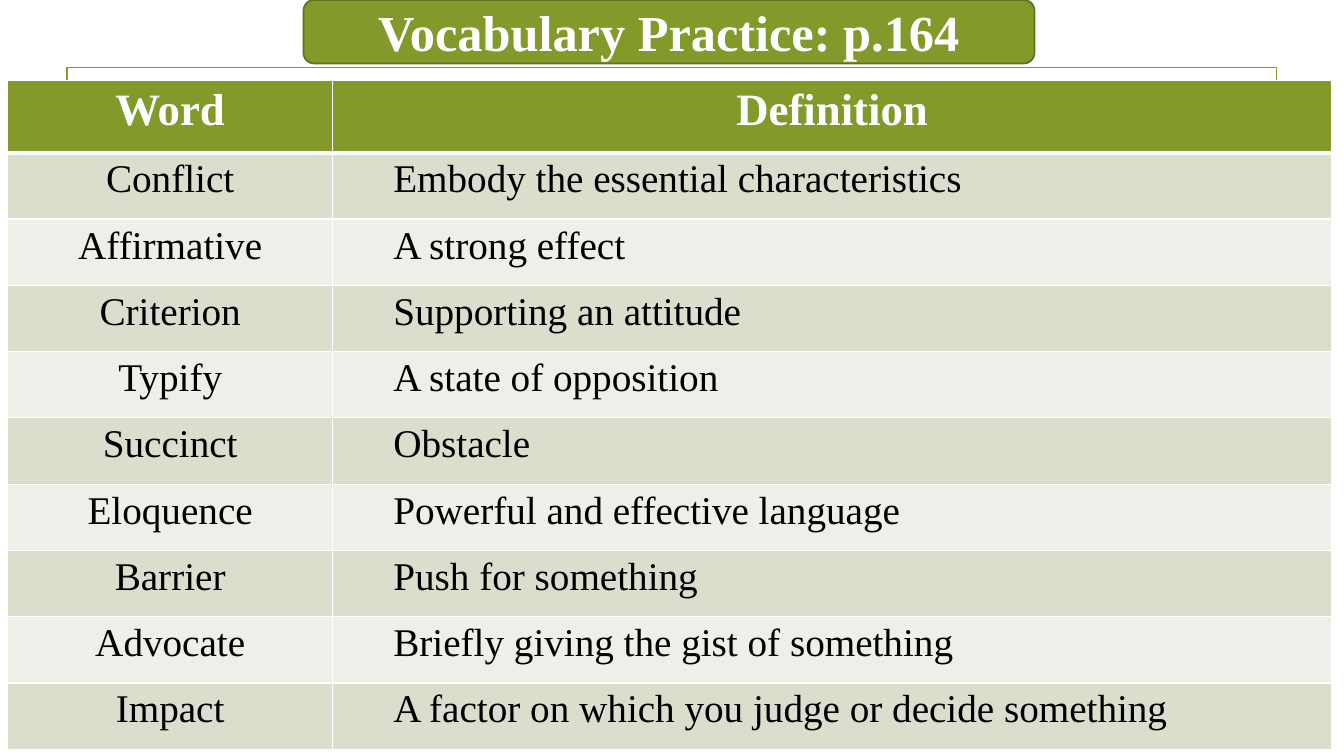
"""Build the vocabulary practice slide."""
from lxml.etree import SubElement
from pptx import Presentation
from pptx.dml.color import RGBColor
from pptx.enum.shapes import MSO_SHAPE
from pptx.enum.text import MSO_ANCHOR, PP_ALIGN
from pptx.oxml.ns import qn
from pptx.util import Cm, Pt

FONT = "Times New Roman"
OLIVE = RGBColor(0x83, 0x99, 0x2A)
DARK_OLIVE = RGBColor(0x61, 0x71, 0x1F)
BAND_DARK = RGBColor(0xD9, 0xDE, 0xCD)
BAND_LIGHT = RGBColor(0xED, 0xEF, 0xE8)
WHITE = RGBColor(0xFF, 0xFF, 0xFF)
BLACK = RGBColor(0x00, 0x00, 0x00)

VOCABULARY = [
    ("Conflict", "Embody the essential characteristics"),
    ("Affirmative", "A strong effect"),
    ("Criterion", "Supporting an attitude"),
    ("Typify", "A state of opposition"),
    ("Succinct", "Obstacle"),
    ("Eloquence", "Powerful and effective language"),
    ("Barrier", "Push for something"),
    ("Advocate", "Briefly giving the gist of something"),
    ("Impact", "A factor on which you judge or decide something"),
]


def write(tf, text, size, color, bold=False, align=PP_ALIGN.CENTER):
    """Put one formatted paragraph in a text frame and return it."""
    tf.text = text
    p = tf.paragraphs[0]
    p.alignment = align
    font = p.runs[0].font
    font.name, font.size, font.bold = FONT, Pt(size), bold
    font.color.rgb = color
    return p


def add_box(s, kind, left, top, width, height, fill, line):
    """Add an outlined preset shape, unfilled when fill is None."""
    sp = s.shapes.add_shape(kind, Cm(left), Cm(top), Cm(width), Cm(height))
    sp.shadow.inherit = False
    if fill is None:
        sp.fill.background()
    else:
        sp.fill.solid()
        sp.fill.fore_color.rgb = fill
    sp.line.color.rgb = line
    sp.line.width = Pt(1.25)
    return sp


def set_borders(cell, top, bottom):
    """Give a cell white borders, with top and bottom widths in points."""
    tcPr = cell._tc.get_or_add_tcPr()
    widths = {"a:lnL": 1, "a:lnR": 1, "a:lnT": top, "a:lnB": bottom}
    for i, (tag, width) in enumerate(widths.items()):
        ln = SubElement(tcPr, qn(tag), w=str(Pt(width)))
        fill = SubElement(ln, qn("a:solidFill"))
        SubElement(fill, qn("a:srgbClr"), val=str(WHITE))
        tcPr.insert(i, ln)


def add_vocabulary_table(s):
    """Add the banded table of words and definitions."""
    rows = [("Word", "Definition"), *VOCABULARY]
    frame = s.shapes.add_table(len(rows), 2, Cm(0.19), Cm(2.03), Cm(33.37), Cm(16.85))
    table = frame.table
    table.columns[0].width, table.columns[1].width = Cm(8.2), Cm(25.17)
    for i, texts in enumerate(rows):
        header = i == 0
        table.rows[i].height = Cm(1.82 if header else 1.67)
        band = OLIVE if header else BAND_DARK if i % 2 else BAND_LIGHT
        for j, text in enumerate(texts):
            cell = table.cell(i, j)
            cell.fill.solid()
            cell.fill.fore_color.rgb = band
            set_borders(cell, 3 if i == 1 else 1, 3 if header else 1)
            if header:
                write(cell.text_frame, text, 32, WHITE, True)
            elif j == 0:
                write(cell.text_frame, text, 28, BLACK)
            else:
                p = write(cell.text_frame, text, 28, BLACK, align=PP_ALIGN.LEFT)
                p.level = 1
                p._p.get_or_add_pPr().set("marL", str(Cm(1.27)))


def add_title(s):
    """Add the rounded title banner."""
    sp = add_box(s, MSO_SHAPE.ROUNDED_RECTANGLE, 7.65, 0, 18.42, 1.6, OLIVE, DARK_OLIVE)
    sp.text_frame.vertical_anchor = MSO_ANCHOR.MIDDLE
    write(sp.text_frame, "Vocabulary Practice: p.164", 36, WHITE, True)


def main():
    """Create the slide and save it."""
    prs = Presentation()
    prs.slide_width, prs.slide_height = Cm(33.87), Cm(19.05)
    s = prs.slides.add_slide(prs.slide_layouts[6])
    add_box(s, MSO_SHAPE.RECTANGLE, 1.69, 1.7, 30.48, 15.67, None, OLIVE)
    add_vocabulary_table(s)
    add_title(s)
    prs.save("out.pptx")


if __name__ == "__main__":
    main()
